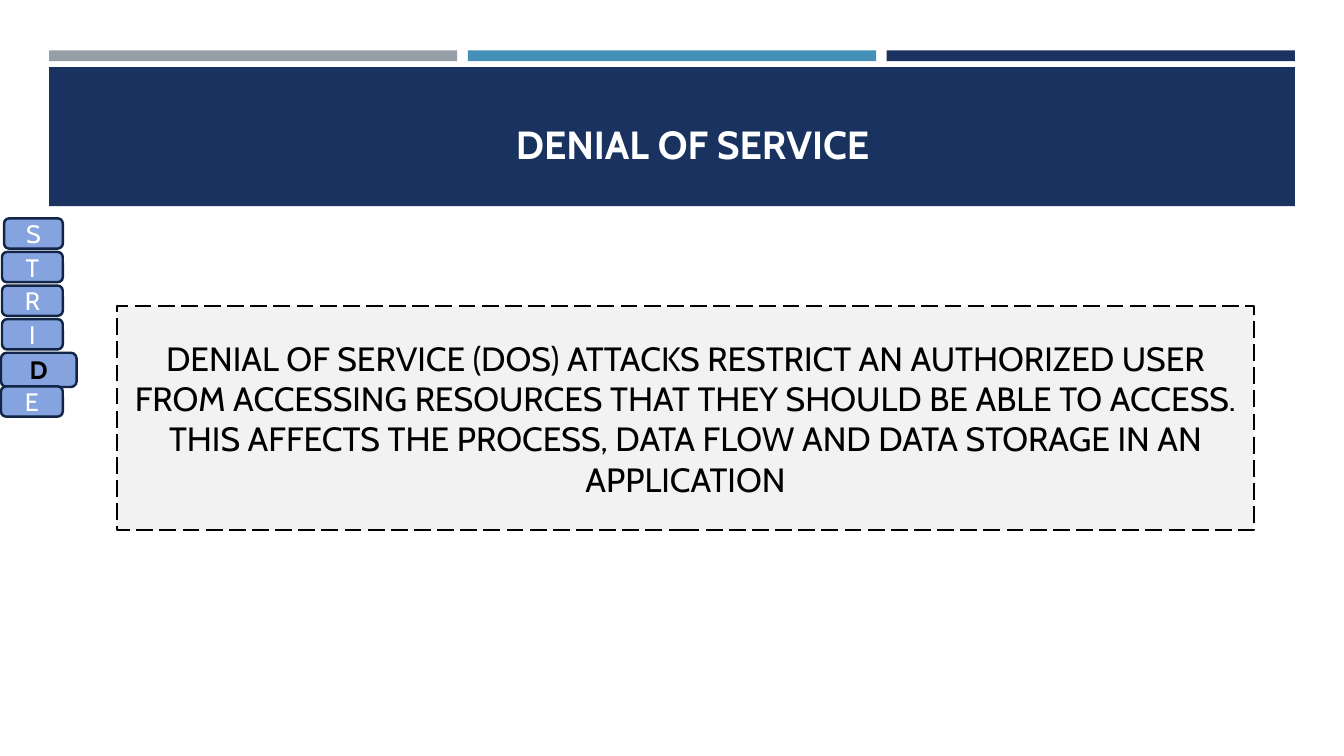
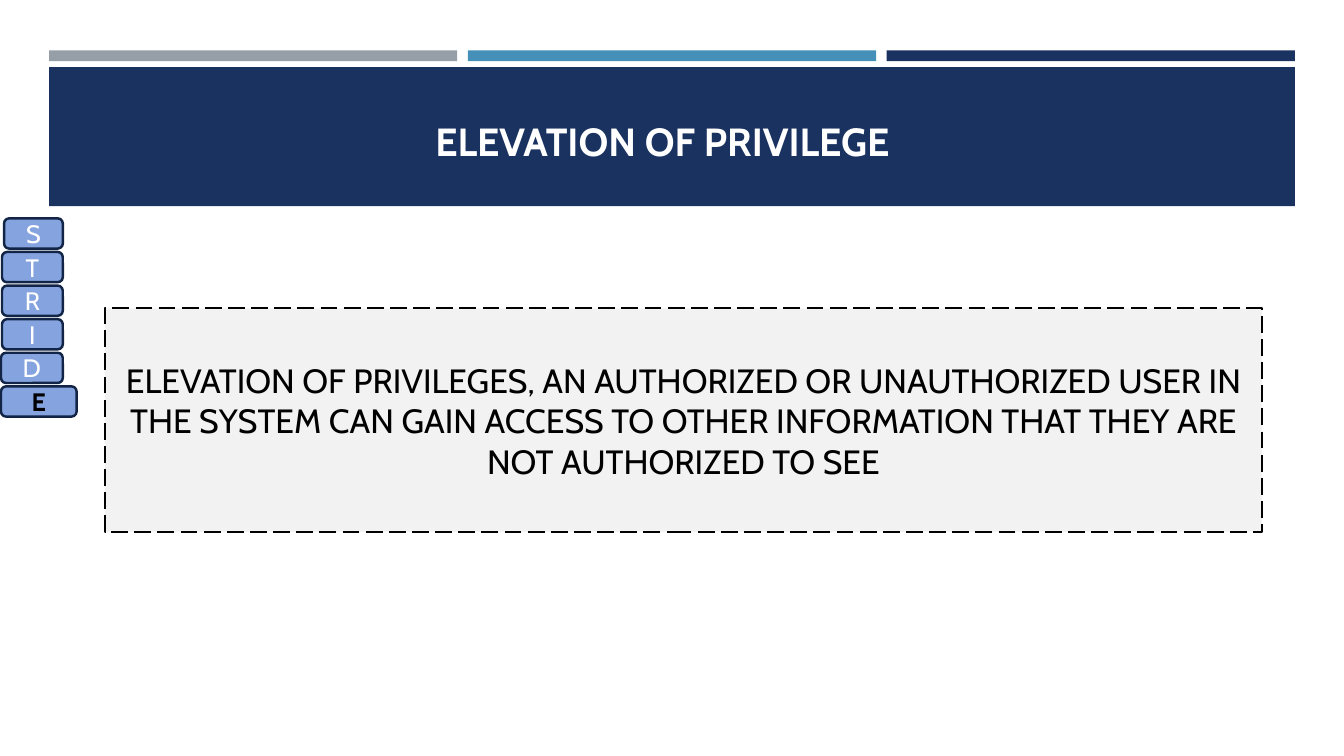
from dataclasses import dataclass

from pptx import Presentation
from pptx.dml.color import RGBColor
from pptx.enum.dml import MSO_LINE
from pptx.enum.shapes import MSO_SHAPE
from pptx.enum.text import MSO_ANCHOR, PP_ALIGN
from pptx.util import Inches, Pt

COLUMNS, ROWS = 40, 22.5
THREATS = "STRIDE"


@dataclass(frozen=True)
class Theme:
    font: str = "Cabin"
    navy: str = "1A3260"
    grey: str = "969FA7"
    blue: str = "4590B8"
    tab: str = "85A3DE"
    tab_line: str = "132547"
    panel: str = "F2F2F2"
    white: str = "FFFFFF"
    black: str = "000000"
    title_size: int = 28
    body_size: int = 24
    tab_size: int = 18


class ThreatDeck:
    """Slides on a grid of 40 columns by 22.5 rows; lengths are in cells."""

    band_left, band_width = 1.46, 37.08
    stripe_width = 12.15
    tab_top, tab_right, tab_height = 6.5, 1.87, 0.9
    tab_lefts = (0.12, 0.06, 0.06, 0.06, 0.03, 0.03)
    active_width = 2.25

    def __init__(self, theme):
        self.theme = theme
        self.deck = Presentation()
        self.deck.slide_width = Inches(13.33)
        self.deck.slide_height = Inches(7.5)
        self.page = None

    def place(self, left, top, width, height):
        column = self.deck.slide_width / COLUMNS
        row = self.deck.slide_height / ROWS
        return (round(left * column), round(top * row),
                round(width * column), round(height * row))

    def add_page(self):
        self.page = self.deck.slides.add_slide(self.deck.slide_layouts[6])
        self.header()

    def block(self, area, fill, line=None, weight=0, preset=MSO_SHAPE.RECTANGLE):
        box = self.page.shapes.add_shape(preset, *self.place(*area))
        box.shadow.inherit = False
        box.fill.solid()
        box.fill.fore_color.rgb = RGBColor.from_string(fill)
        if line:
            box.line.color.rgb = RGBColor.from_string(line)
            box.line.width = Pt(weight)
        else:
            box.line.fill.background()
        return box

    def label(self, box, text, size, color, bold=False,
              align=PP_ALIGN.CENTER, anchor=MSO_ANCHOR.MIDDLE):
        frame = box.text_frame
        frame.text = text
        frame.word_wrap = True
        frame.vertical_anchor = anchor
        para = frame.paragraphs[0]
        para.alignment = align
        font = para.runs[0].font
        font.name = self.theme.font
        font.size = Pt(size)
        font.bold = bold
        font.color.rgb = RGBColor.from_string(color)

    def header(self):
        """Draw three stripes above the title band."""
        theme = self.theme
        step = (self.band_width - self.stripe_width) / 2
        for index, color in enumerate((theme.grey, theme.blue, theme.navy)):
            left = self.band_left + index * step
            self.block((left, 1.5, self.stripe_width, 0.32), color)
        self.block((self.band_left, 2, self.band_width, 4.14), theme.navy)

    def title(self, text, area):
        box = self.page.shapes.add_textbox(*self.place(*area))
        self.label(box, text, self.theme.title_size, self.theme.white, True,
                   PP_ALIGN.RIGHT, MSO_ANCHOR.BOTTOM)

    def tabs(self, active, active_height):
        """Stack one tab per threat, one row apart, widening the active one."""
        theme = self.theme
        for index, (letter, left) in enumerate(zip(THREATS, self.tab_lefts)):
            chosen = letter == active
            width = self.active_width if chosen else self.tab_right - left
            height = active_height if chosen else self.tab_height
            box = self.block((left, self.tab_top + index, width, height),
                             theme.tab, theme.tab_line, 1.75,
                             MSO_SHAPE.ROUNDED_RECTANGLE)
            self.label(box, letter, theme.tab_size,
                       theme.black if chosen else theme.white, chosen)

    def panel(self, text, area):
        theme = self.theme
        box = self.block(area, theme.panel, theme.black, 1.5)
        box.line.dash_style = MSO_LINE.LONG_DASH
        self.label(box, text, theme.body_size, theme.black)


def main():
    threats = ThreatDeck(Theme())

    threats.add_page()
    threats.title("DENIAL OF SERVICE", (11.4, 1.53, 14.76, 3.6))
    threats.tabs("D", 1.02)
    threats.panel(
        "DENIAL OF SERVICE (DOS) ATTACKS RESTRICT AN AUTHORIZED USER FROM "
        "ACCESSING RESOURCES THAT THEY SHOULD BE ABLE TO ACCESS. THIS AFFECTS "
        "THE PROCESS, DATA FLOW AND DATA STORAGE IN AN APPLICATION",
        (3.48, 9.12, 33.84, 6.66))

    threats.add_page()
    threats.title("ELEVATION OF PRIVILEGE", (9.6, 2.07, 17.16, 2.97))
    threats.tabs("E", 0.9)
    threats.panel(
        "ELEVATION OF PRIVILEGES, AN AUTHORIZED OR UNAUTHORIZED USER IN THE "
        "SYSTEM CAN GAIN ACCESS TO OTHER INFORMATION THAT THEY ARE NOT "
        "AUTHORIZED TO SEE",
        (3.12, 9.18, 34.44, 6.66))

    threats.deck.save("out.pptx")


if __name__ == "__main__":
    main()
